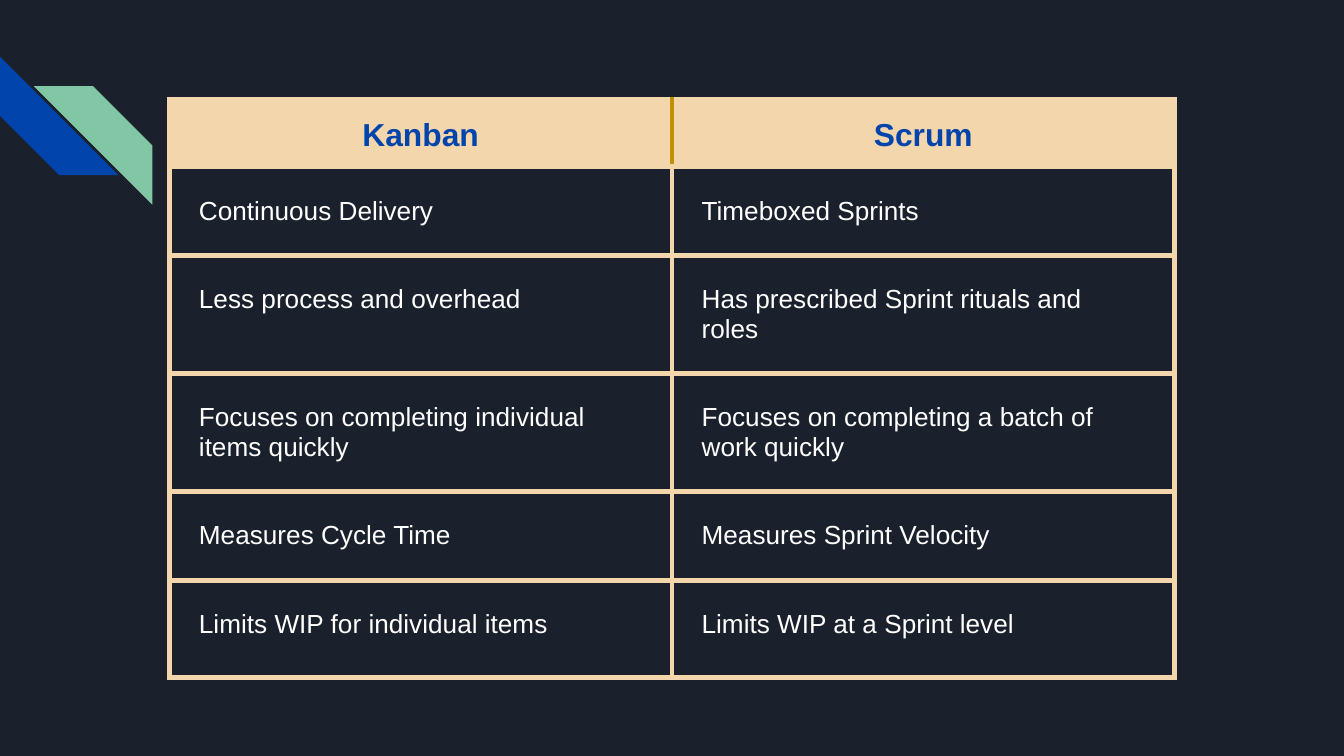
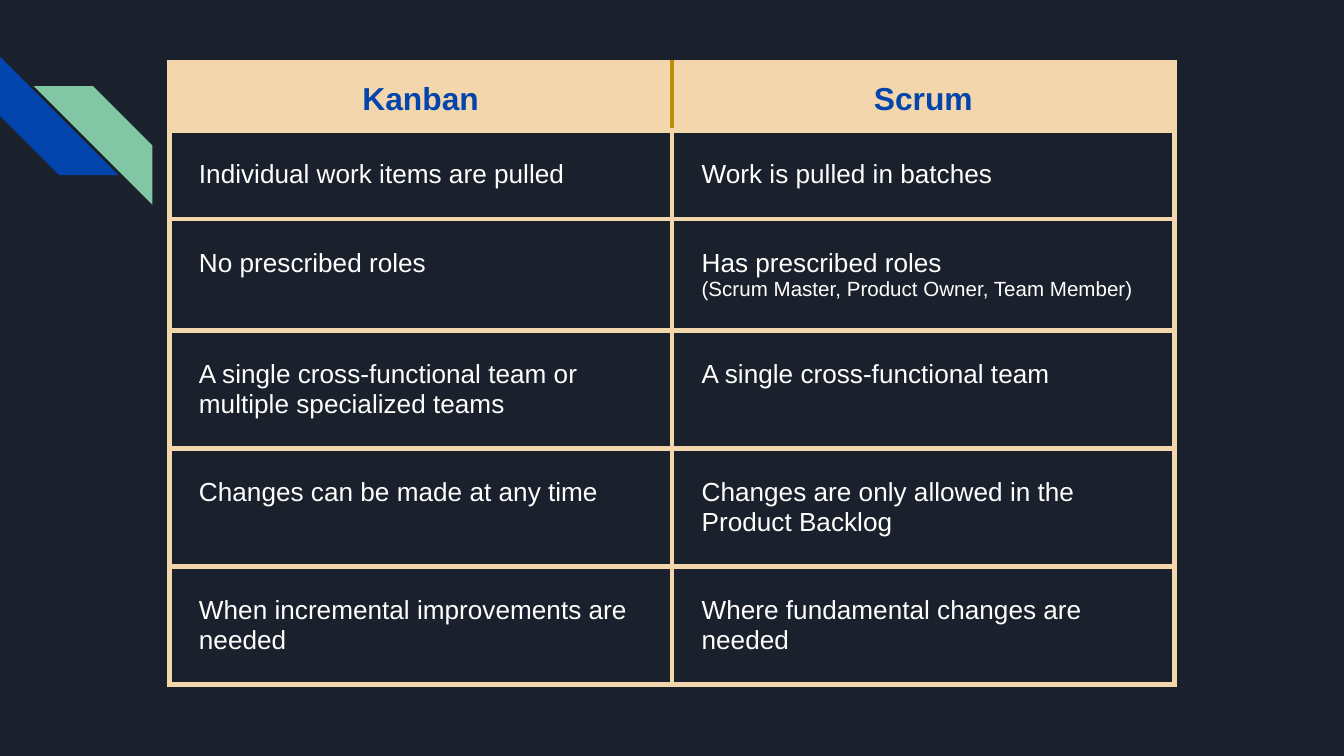
from lxml.etree import SubElement
from pptx import Presentation
from pptx.dml.color import RGBColor
from pptx.enum.shapes import MSO_SHAPE as Shape
from pptx.enum.text import PP_ALIGN as Align
from pptx.oxml import parse_xml
from pptx.oxml.ns import nsdecls, qn
from pptx.util import Cm, Pt

COLORS = {
    "night": "1B212C",
    "blue": "0145AC",
    "green": "82C7A5",
    "sand": "F4D6AD",
    "gold": "BF9000",
    "white": "FFFFFF",
}
FONT = "Arial"
BLANK_LAYOUT = 6
HEADINGS = ("Kanban", "Scrum")
ROW_HEIGHTS = (1.14, 1.55, 1.83, 1.83, 1.17, 1.83)

DELIVERY_ROWS = [
    ("Continuous Delivery", "Timeboxed Sprints"),
    ("Less process and overhead", "Has prescribed Sprint rituals and roles"),
    ("Focuses on completing individual items quickly",
     "Focuses on completing a batch of work quickly"),
    ("Measures Cycle Time", "Measures Sprint Velocity"),
    ("Limits WIP for individual items", "Limits WIP at a Sprint level"),
]
TEAM_ROWS = [
    ("Individual work items are pulled", "Work is pulled in batches"),
    ("No prescribed roles",
     "Has prescribed roles\n(Scrum Master, Product Owner, Team Member)"),
    ("A single cross-functional team or multiple specialized teams",
     "A single cross-functional team"),
    ("Changes can be made at any time",
     "Changes are only allowed in the Product Backlog"),
    ("When incremental improvements are needed",
     "Where fundamental changes are needed"),
]


def rgb(name):
    return RGBColor.from_string(COLORS[name])


class ComparisonDeck:
    def __init__(self):
        self.deck = Presentation()
        self.deck.slide_width, self.deck.slide_height = Cm(25.4), Cm(14.29)
        background = self.deck.slide_master.background.fill
        background.solid()
        background.fore_color.rgb = rgb("night")
        self.page = None

    def add_page(self):
        layout = self.deck.slide_layouts[BLANK_LAYOUT]
        self.page = self.deck.slides.add_slide(layout)
        self.add_stripe(0, 1.07, 270, "blue")
        self.add_stripe(0.64, 1.63, 90, "green")

    def add_stripe(self, left, top, rotation, color):
        stripe = self.page.shapes.add_shape(
            Shape.DIAGONAL_STRIPE, Cm(left), Cm(top), Cm(2.24), Cm(2.24))
        stripe.rotation = rotation
        stripe.shadow.inherit = False
        stripe.fill.solid()
        stripe.fill.fore_color.rgb = rgb(color)
        stripe.line.fill.background()

    def add_comparison(self, top, rows):
        frame = self.page.shapes.add_table(
            len(rows) + 1, 2, Cm(3.2), Cm(top), Cm(19), Cm(sum(ROW_HEIGHTS)))
        table = frame.table
        table.first_row = table.horz_banding = False
        for row, height in zip(table.rows, ROW_HEIGHTS):
            row.height = Cm(height)
        for column, heading in enumerate(HEADINGS):
            self.fill_heading(table.cell(0, column), heading, column)
        for number, texts in enumerate(rows, 1):
            for column, text in enumerate(texts):
                self.fill_body(table.cell(number, column), text)

    def fill_heading(self, cell, text, column):
        self.set_text(cell, text, 0.25, 17, "blue", True)
        para = cell.text_frame.paragraphs[0]
        para.alignment = Align.CENTER
        para.line_spacing = 1.15
        cell.fill.solid()
        cell.fill.fore_color.rgb = rgb("sand")
        self.set_borders(cell, **{"L" if column else "R": "gold"})

    def fill_body(self, cell, text):
        """Any paragraph after the first is a small remark."""
        self.set_text(cell, text, 0.56, 14, "white", False)
        for para in cell.text_frame.paragraphs[1:]:
            for span in para.runs:
                span.font.size = Pt(11)
        cell.fill.background()
        self.set_borders(cell)

    def set_text(self, cell, text, inset, size, color, bold):
        cell.margin_left = cell.margin_right = Cm(inset)
        cell.margin_top = cell.margin_bottom = Cm(inset)
        cell.text_frame.text = text
        for para in cell.text_frame.paragraphs:
            for span in para.runs:
                span.font.name = FONT
                span.font.size = Pt(size)
                span.font.bold = bold
                span.font.color.rgb = rgb(color)

    def set_borders(self, cell, **special):
        """Draw sand borders, save for sides (L, R, T, B) given another colour."""
        properties = cell._tc.get_or_add_tcPr()
        for place, side in enumerate("LRTB"):
            line = parse_xml(f'<a:ln{side} {nsdecls("a")} w="{Pt(3)}"/>')
            fill = SubElement(line, qn("a:solidFill"))
            color = COLORS[special.get(side, "sand")]
            SubElement(fill, qn("a:srgbClr"), val=color)
            properties.insert(place, line)


def main():
    style = ComparisonDeck()
    for top, rows in ((1.88, DELIVERY_ROWS), (1.19, TEAM_ROWS)):
        style.add_page()
        style.add_comparison(top, rows)
    style.deck.save("out.pptx")


if __name__ == "__main__":
    main()
